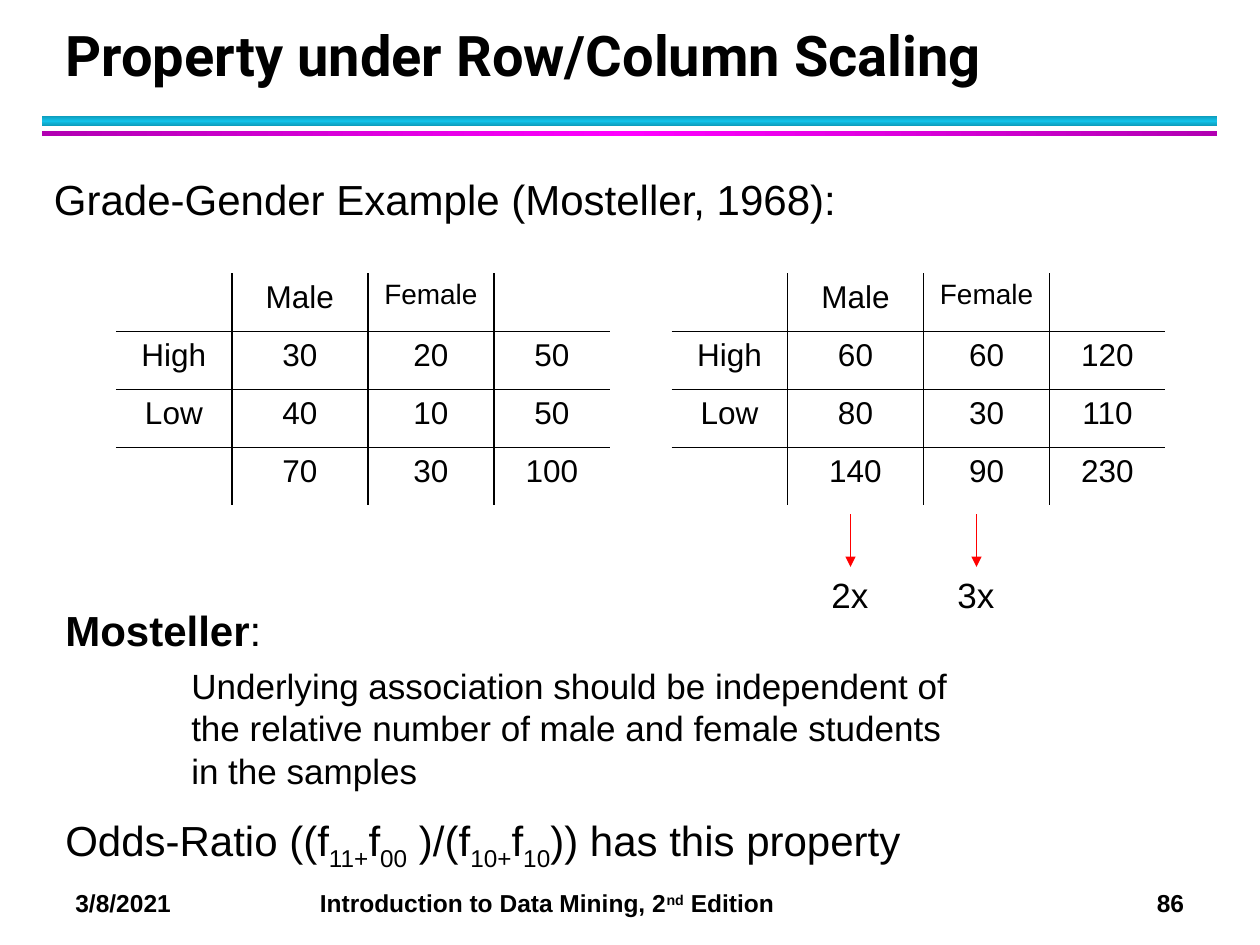
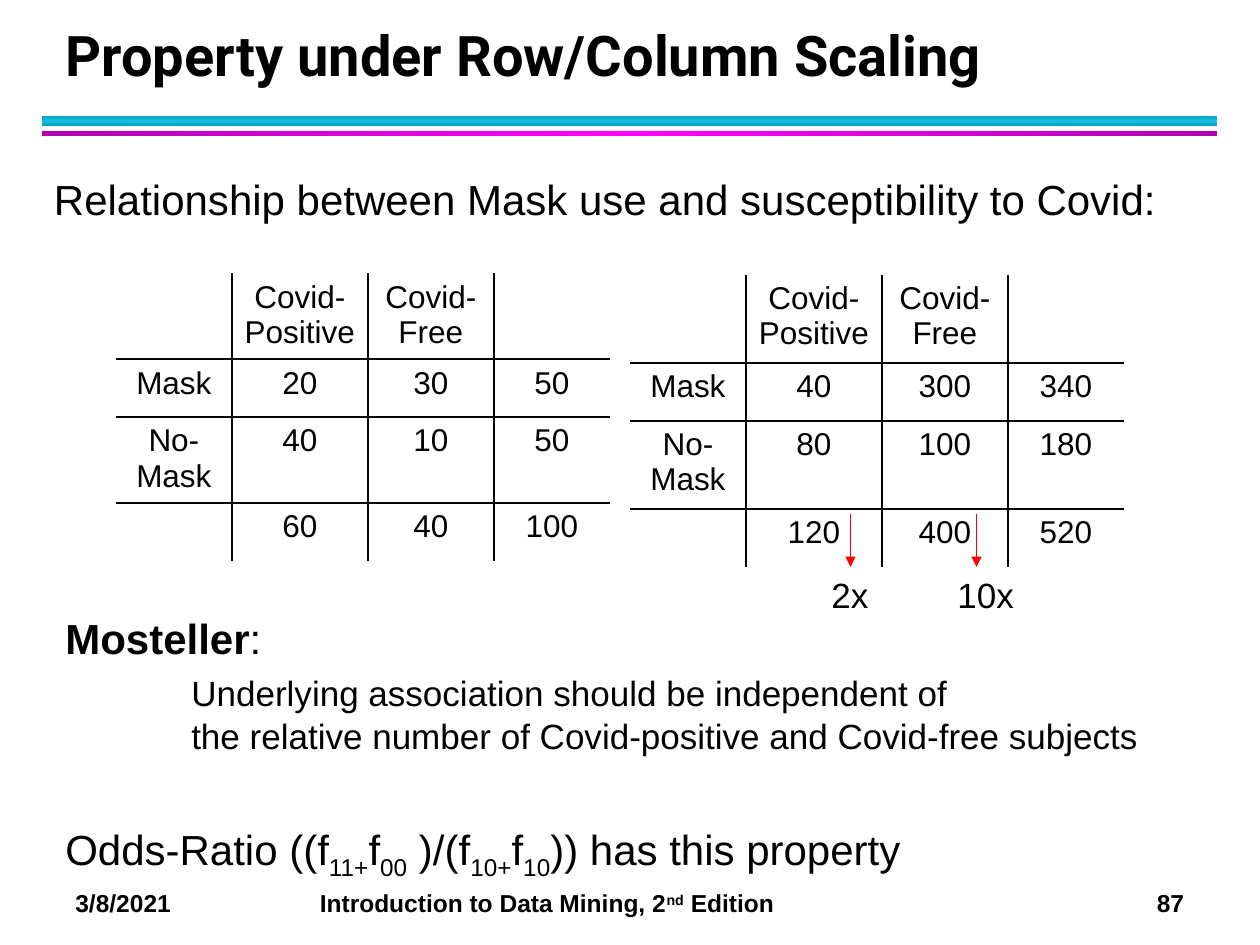
from copy import deepcopy

from pptx import Presentation
from pptx.dml.color import RGBColor
from pptx.enum.shapes import MSO_CONNECTOR, MSO_SHAPE
from pptx.enum.text import MSO_ANCHOR, MSO_AUTO_SIZE, PP_ALIGN
from pptx.oxml import parse_xml
from pptx.oxml.ns import nsdecls, qn
from pptx.util import Inches, Pt

BLACK = "000000"
RED = "FF0000"
TITLE = "Property under Row/Column Scaling"
# top, height, edge colour, middle colour, gradient angle
BANDS = [
    (0.92, 0.08, "0E9BBA", "12C2E9", 90),
    (1.04, 0.04, "B200B2", "FF00FF", 0),
]
COLUMN_WIDTHS = [0.92, 1.08, 1, 0.92]
GRADE_HEADER = ["", "Male", "Female", ""]
COVID_HEADER = ["", "Covid-Positive", "Covid-Free", ""]
ODDS_RATIO = [("Odds-Ratio ((f", "11+"), ("f", "00"), (" )/(f", "10+"),
              ("f", "10"), (")) has this property", "")]

PAGES = [
    {
        "number": 86,
        "heading": "Grade-Gender Example (Mosteller, 1968):",
        "tables": [
            (0.92, 2.17, [0.46] * 4,
             [GRADE_HEADER, ["High", 30, 20, 50], ["Low", 40, 10, 50], ["", 70, 30, 100]]),
            (5.33, 2.17, [0.46] * 4,
             [GRADE_HEADER, ["High", 60, 60, 120], ["Low", 80, 30, 110], ["", 140, 90, 230]]),
        ],
        "factors": ["2x", "3x"],
        "claim_top": 4.75,
        "claim": "Underlying association should be independent of\v"
                 "the relative number of male and female students\vin the samples",
        "odds_gap": 13.5,
    },
    {
        "number": 87,
        "heading": "Relationship between Mask use and susceptibility to Covid:",
        "tables": [
            (0.92, 2.17, [0.66, 0.46, 0.66, 0.46],
             [COVID_HEADER, ["Mask", 20, 30, 50], ["No-Mask", 40, 10, 50], ["", 60, 40, 100]]),
            (5, 2.18, [0.7, 0.46, 0.7, 0.46],
             [COVID_HEADER, ["Mask", 40, 300, 340], ["No-Mask", 80, 100, 180],
              ["", 120, 400, 520]]),
        ],
        "factors": ["2x", "10x"],
        "claim_top": 4.81,
        "claim": "Underlying association should be independent of\v"
                 "the relative number of Covid-positive and Covid-free subjects",
        "odds_gap": 38.5,
    },
]


def set_font(target, size, bold=False, color=BLACK, name="Arial"):
    font = target.font
    font.name, font.size, font.bold = name, Pt(size), bold
    font.color.rgb = RGBColor.from_string(color)


def add_text(page, left, top, width, height, text, size, bold=False):
    """Add a wrapping text box and return its first paragraph and its frame."""
    box = page.shapes.add_textbox(Inches(left), Inches(top), Inches(width), Inches(height))
    frame = box.text_frame
    frame.word_wrap = True
    para = frame.paragraphs[0]
    para.text = text
    set_font(para, size, bold)
    return para, frame


deck = Presentation()
deck.slide_width, deck.slide_height = Inches(10), Inches(7.5)
layout = deck.slide_layouts.get_by_name("Title Only")
pages = [deck.slides.add_slide(layout) for content in PAGES]

# Bands are drawn on a page, then moved to the shared layout.
for top, height, edge, middle, angle in BANDS:
    band = pages[0].shapes.add_shape(
        MSO_SHAPE.RECTANGLE, Inches(0.33), Inches(top), Inches(9.33), Inches(height))
    band.shadow.inherit = False
    band.line.fill.background()
    band.fill.gradient()
    band.fill.gradient_angle = angle
    stop_list = band.element.spPr.find(".//" + qn("a:gsLst"))
    stop_list.insert(1, deepcopy(stop_list[0]))
    for stop, color, position in zip(band.fill.gradient_stops, (edge, middle, edge), (0, 0.5, 1)):
        stop.color.rgb = RGBColor.from_string(color)
        stop.position = position
    layout.shapes.element.append(band.element)

for page, content in zip(pages, PAGES):
    title = page.shapes.title
    title.left, title.top = Inches(0.42), Inches(0.17)
    title.width, title.height = Inches(9.06), Inches(0.58)
    title.text_frame.text = TITLE
    title.text_frame.auto_size = MSO_AUTO_SIZE.NONE
    title.text_frame.vertical_anchor = MSO_ANCHOR.BOTTOM
    para = title.text_frame.paragraphs[0]
    para.alignment = PP_ALIGN.LEFT
    para.line_spacing = Pt(36)
    set_font(para, 32, bold=True, name="Roboto")

    add_text(page, 0.33, 1.33, 9.5, 0.5, content["heading"], 24)

    for left, top, row_heights, rows in content["tables"]:
        table = page.shapes.add_table(
            len(rows), len(COLUMN_WIDTHS), Inches(left), Inches(top),
            Inches(sum(COLUMN_WIDTHS)), Inches(sum(row_heights))).table
        table.first_row = table.horz_banding = False
        for column, width in zip(table.columns, COLUMN_WIDTHS):
            column.width = Inches(width)
        for r, values in enumerate(rows):
            table.rows[r].height = Inches(row_heights[r])
            for c, value in enumerate(values):
                cell = table.cell(r, c)
                cell.margin_top, cell.margin_bottom = Inches(0.05), Inches(0.03)
                cell.fill.background()
                para = cell.text_frame.paragraphs[0]
                para.text = str(value)
                para.alignment = PP_ALIGN.CENTER
                set_font(para, 16 if value == "Female" else 18)
                # Only the lines between cells show; the outer edges stay open.
                inner = {"lnL": c > 0, "lnR": c < len(values) - 1,
                         "lnT": r > 0, "lnB": r < len(rows) - 1}
                for position, (side, visible) in enumerate(inner.items()):
                    paint = (f'<a:solidFill><a:srgbClr val="{BLACK}"/></a:solidFill>'
                             if visible else "<a:noFill/>")
                    cell._tc.get_or_add_tcPr().insert(position, parse_xml(
                        f'<a:{side} {nsdecls("a")} w="12700">{paint}</a:{side}>'))

    for i, factor in enumerate(content["factors"]):
        x = Inches(6.75 + i)
        arrow = page.shapes.add_connector(MSO_CONNECTOR.STRAIGHT, x, Inches(4.08), x, Inches(4.5))
        arrow.line.color.rgb = RGBColor.from_string(RED)
        arrow.line.width = Pt(1)
        arrow.line._get_or_add_ln().append(
            parse_xml(f'<a:tailEnd {nsdecls("a")} type="triangle"/>'))
        arrow.element.spPr.append(parse_xml(f'<a:effectLst {nsdecls("a")}/>'))
        add_text(page, 6.5 + i, 4.5, 0.67, 0.43, factor, 20)

    para, frame = add_text(page, 0.42, content["claim_top"], 9.17, 2.19, "", 24)
    for text, bold in (("Mosteller", True), (":", False)):
        span = para.add_run()
        span.text = text
        set_font(span, 24, bold)

    para = frame.add_paragraph()
    para.text = content["claim"]
    para._p.get_or_add_pPr().set("marL", str(Inches(1)))
    para.line_spacing = Pt(24.3)
    para.space_before = Pt(5)
    set_font(para, 20)

    para = frame.add_paragraph()
    para.space_before = Pt(content["odds_gap"])
    set_font(para, 24)
    for text, subscript in ODDS_RATIO:
        para.add_run().text = text
        if subscript:
            span = para.add_run()
            span.text = subscript
            span._r.get_or_add_rPr().set("baseline", "-25000")

    para, frame = add_text(page, 0.5, 7, 9.33, 0.34, "", 14)
    para._p.get_or_add_pPr().insert(0, parse_xml(
        f'<a:tabLst {nsdecls("a")}><a:tab pos="{Inches(1.94)}" algn="l"/>'
        f'<a:tab pos="{Inches(8.8)}" algn="r"/></a:tabLst>'))
    set_font(para, 14, bold=True)
    for text, raised in (("3/8/2021\tIntroduction to Data Mining, 2", False), ("nd", True),
                         (f" Edition\t{content['number']}", False)):
        span = para.add_run()
        span.text = text
        if raised:
            span._r.get_or_add_rPr().set("baseline", "30000")

deck.save("out.pptx")
